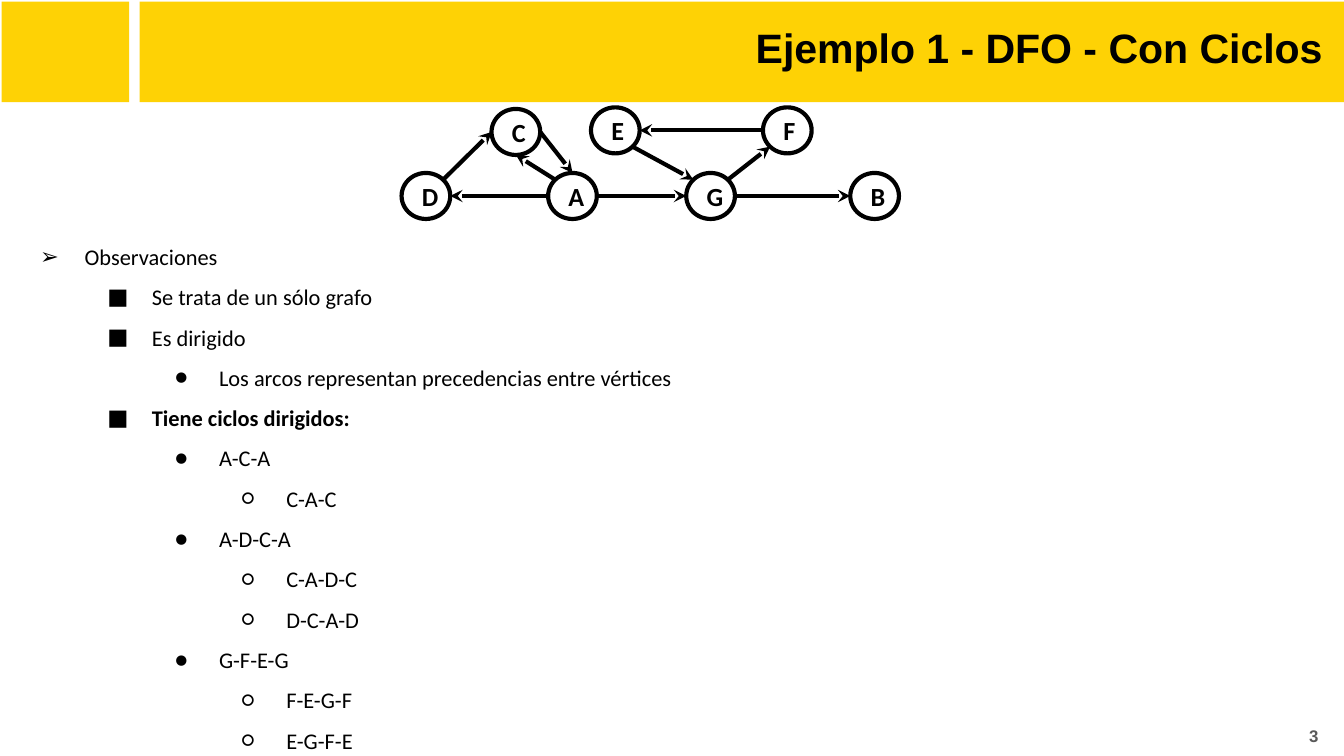
import math
from dataclasses import dataclass

import pptx
import pptx.dml.color
import pptx.enum.shapes
import pptx.enum.text
import pptx.oxml
import pptx.oxml.ns
import pptx.util
from lxml import etree
from pptx.util import Cm

YELLOW = pptx.dml.color.RGBColor(0xFE, 0xD2, 0x05)
BLACK = pptx.dml.color.RGBColor(0x00, 0x00, 0x00)
WHITE = pptx.dml.color.RGBColor(0xFF, 0xFF, 0xFF)
GRAY = pptx.dml.color.RGBColor(0x59, 0x59, 0x59)

ALIGN = pptx.enum.text.PP_ALIGN
ANCHOR = pptx.enum.text.MSO_ANCHOR
SHAPE = pptx.enum.shapes.MSO_SHAPE

INSET = Cm(0.25)
LINE_WIDTH = pptx.util.Pt(2.25)
NODE_WIDTH, NODE_HEIGHT = Cm(0.92), Cm(0.87)
BULLETS = "➢■●○"

OBSERVATIONS = [
    (0, "Observaciones"),
    (1, "Se trata de un sólo grafo"),
    (1, "Es dirigido"),
    (2, "Los arcos representan precedencias entre vértices"),
    (1, "Tiene ciclos dirigidos:"),
    (2, "A-C-A"),
    (3, "C-A-C"),
    (2, "A-D-C-A"),
    (3, "C-A-D-C"),
    (3, "D-C-A-D"),
    (2, "G-F-E-G"),
    (3, "F-E-G-F"),
    (3, "E-G-F-E"),
]
BOLD_OBSERVATION = "Tiene ciclos dirigidos:"

NODES = {
    "D": (0, 1.24),
    "E": (3.58, 0),
    "G": (5.38, 1.24),
    "B": (8.48, 1.24),
    "F": (6.83, 0),
    "C": (1.7, 0.03),
    "A": (2.77, 1.24),
}
RIGHT, BOTTOM_RIGHT, BOTTOM, BOTTOM_LEFT, LEFT, TOP_LEFT, TOP, TOP_RIGHT = range(0, 360, 45)
ARCS = [
    ("F", LEFT, "E", RIGHT),
    ("C", RIGHT, "A", TOP),
    ("A", TOP_LEFT, "C", BOTTOM),
    ("E", BOTTOM_RIGHT, "G", TOP_LEFT),
    ("A", LEFT, "D", RIGHT),
    ("A", RIGHT, "G", LEFT),
    ("D", TOP_RIGHT, "C", LEFT),
    ("G", RIGHT, "B", LEFT),
    ("G", TOP_RIGHT, "F", BOTTOM_LEFT),
]


@dataclass
class Box:
    """A rectangular region of the slide."""

    left: int
    top: int
    width: int
    height: int


def place(shape, box):
    """Move and size a shape to fill a box."""
    shape.left, shape.top, shape.width, shape.height = box.left, box.top, box.width, box.height


def format_frame(text_frame, anchor, wrap=True):
    """Set the insets, anchor and wrapping of a text frame."""
    text_frame.margin_left = text_frame.margin_right = INSET
    text_frame.margin_top = text_frame.margin_bottom = INSET
    text_frame.vertical_anchor = anchor
    text_frame.word_wrap = wrap
    text_frame.auto_size = pptx.enum.text.MSO_AUTO_SIZE.NONE


def format_paragraph(paragraph, alignment, name, size, color, bold):
    """Align a paragraph and set the font of its runs."""
    paragraph.alignment = alignment
    for run in paragraph.runs:
        run.font.name = name
        run.font.size = pptx.util.Pt(size)
        run.font.color.rgb = color
        run.font.bold = bold


def add_header(slide, box):
    """Place the two yellow bars and the title over them."""
    title = slide.shapes.title
    square_width, gap = Cm(2.41), Cm(0.2)
    bar_left = box.left + square_width + gap
    bar_width = box.width - square_width - gap
    for left, width in ((bar_left, bar_width), (box.left, square_width)):
        bar = slide.shapes.add_shape(SHAPE.RECTANGLE, left, box.top, width, box.height)
        bar.shadow.inherit = False
        bar.fill.solid()
        bar.fill.fore_color.rgb = YELLOW
        bar.line.fill.background()
        title.element.addprevious(bar.element)
    place(title, Box(bar_left + Cm(0.13), box.top + Cm(0.15), bar_width - Cm(0.28), Cm(1.6)))
    title.text_frame.text = "Ejemplo 1 - DFO - Con Ciclos"
    format_frame(title.text_frame, ANCHOR.TOP)
    format_paragraph(title.text_frame.paragraphs[0], ALIGN.RIGHT, "Arial", 22, BLACK, True)


def set_bullet(paragraph, level):
    """Give a paragraph the indent and bullet of its level."""
    properties = paragraph._p.get_or_add_pPr()
    properties.set("marL", str(Cm(1.27 * (level + 1))))
    properties.set("indent", str(Cm(-0.84)))
    color = etree.SubElement(properties, pptx.oxml.ns.qn("a:buClr"))
    etree.SubElement(color, pptx.oxml.ns.qn("a:srgbClr"), val=str(BLACK))
    etree.SubElement(properties, pptx.oxml.ns.qn("a:buFont"), typeface="Calibri")
    etree.SubElement(properties, pptx.oxml.ns.qn("a:buChar"), char=BULLETS[level])


def add_observations(slide, box):
    """Fill the body placeholder with the nested observations."""
    body = slide.placeholders[1]
    place(body, box)
    text_frame = body.text_frame
    text_frame.text = "\n".join(text for _, text in OBSERVATIONS)
    format_frame(text_frame, ANCHOR.TOP)
    text_frame.margin_bottom = Cm(0.05)
    for paragraph, (level, text) in zip(text_frame.paragraphs, OBSERVATIONS):
        paragraph.level = level
        paragraph.line_spacing = 1.5
        paragraph.space_before = pptx.util.Pt(0)
        format_paragraph(paragraph, ALIGN.LEFT, "Calibri", 12, BLACK, text == BOLD_OBSERVATION)
        set_bullet(paragraph, level)


def rim_point(node, angle):
    """Return the point on a node's outline at an angle in degrees."""
    radians = math.radians(angle)
    return (
        round(node.left + node.width / 2 * (1 + math.cos(radians))),
        round(node.top + node.height / 2 * (1 + math.sin(radians))),
    )


def add_node(slide, box, letter):
    """Draw one lettered vertex."""
    node = slide.shapes.add_shape(SHAPE.OVAL, box.left, box.top, box.width, box.height)
    node.shadow.inherit = False
    node.fill.solid()
    node.fill.fore_color.rgb = WHITE
    node.line.color.rgb = BLACK
    node.line.width = LINE_WIDTH
    node.text_frame.text = letter
    format_frame(node.text_frame, ANCHOR.MIDDLE)
    format_paragraph(node.text_frame.paragraphs[0], ALIGN.CENTER, "Calibri", 14, BLACK, True)
    return node


def add_arc(slide, start, end):
    """Draw an arrow from one point to another."""
    arc = slide.shapes.add_connector(pptx.enum.shapes.MSO_CONNECTOR.STRAIGHT, *start, *end)
    arc.line.color.rgb = BLACK
    arc.line.width = LINE_WIDTH
    etree.SubElement(arc.line._get_or_add_ln(), pptx.oxml.ns.qn("a:tailEnd"), type="stealth")
    etree.SubElement(arc.element.spPr, pptx.oxml.ns.qn("a:effectLst"))


def add_graph(slide, box):
    """Draw the directed graph within a box."""
    nodes = {
        letter: add_node(
            slide, Box(box.left + Cm(x), box.top + Cm(y), NODE_WIDTH, NODE_HEIGHT), letter
        )
        for letter, (x, y) in NODES.items()
    }
    for source, source_angle, target, target_angle in ARCS:
        add_arc(slide, rim_point(nodes[source], source_angle), rim_point(nodes[target], target_angle))


def add_page_number(slide, box):
    """Write the page number in the corner."""
    shape = slide.shapes.add_textbox(box.left, box.top, box.width, box.height)
    shape.text_frame.text = "3"
    format_frame(shape.text_frame, ANCHOR.MIDDLE)
    format_paragraph(shape.text_frame.paragraphs[0], ALIGN.RIGHT, "Arial", 9, GRAY, True)


def main():
    """Build and save the presentation."""
    presentation = pptx.Presentation()
    presentation.slide_width, presentation.slide_height = Cm(25.4), Cm(14.29)
    slide = presentation.slides.add_slide(presentation.slide_layouts[1])
    add_header(slide, Box(Cm(0.03), Cm(0.03), Cm(25.37), Cm(1.9)))
    add_observations(slide, Box(Cm(0.08), Cm(4.09), Cm(25.32), Cm(9.86)))
    add_page_number(slide, Box(Cm(24.05), Cm(13.36), Cm(1.12), Cm(1.09)))
    add_graph(slide, Box(Cm(7.59), Cm(2.03), Cm(9.4), Cm(2.11)))
    presentation.save("out.pptx")


if __name__ == "__main__":
    main()
